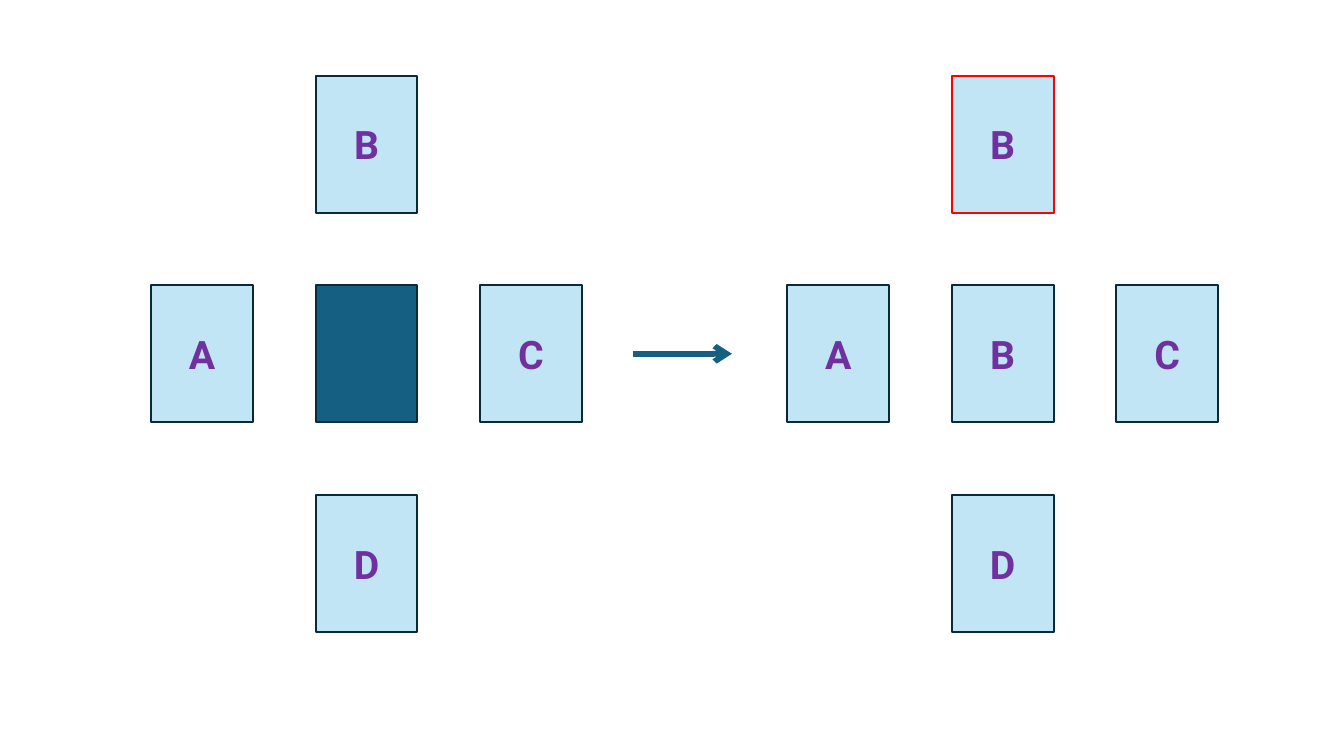
from lxml.etree import SubElement
from pptx import Presentation
from pptx.dml.color import RGBColor
from pptx.enum.shapes import MSO_CONNECTOR, MSO_SHAPE
from pptx.enum.text import MSO_ANCHOR, PP_ALIGN
from pptx.oxml.ns import qn
from pptx.util import Pt

PX = 9144
COLORS = {
    "card": "C1E5F5",
    "empty": "156082",
    "border": "092A39",
    "moved": "FF0000",
    "letter": "7030A0",
}
LETTER_FORMAT = {"name": "Roboto", "size": Pt(28), "bold": True}
CARD_WIDTH, CARD_HEIGHT = 101, 136
COLUMN_STEP, ROW_STEP = 163, 208
CROSS_TOP = 75
CELLS = {"left": (0, 1), "top": (1, 0), "right": (2, 1), "bottom": (1, 2), "center": (1, 1)}


def color(name):
    """Return the named colour."""
    return RGBColor.from_string(COLORS[name])


def add_card(page, left, top, letter, fill, border):
    """Draw one card, with a centred letter if it has one."""
    card = page.shapes.add_shape(
        MSO_SHAPE.RECTANGLE, left * PX, top * PX, CARD_WIDTH * PX, CARD_HEIGHT * PX
    )
    card.shadow.inherit = False
    card.fill.solid()
    card.fill.fore_color.rgb = color(fill)
    card.line.color.rgb = color(border)
    card.line.width = Pt(1.5)
    if letter:
        card.text_frame.vertical_anchor = MSO_ANCHOR.MIDDLE
        para = card.text_frame.paragraphs[0]
        para.alignment = PP_ALIGN.CENTER
        span = para.add_run()
        span.text = letter
        for key, value in LETTER_FORMAT.items():
            setattr(span.font, key, value)
        span.font.color.rgb = color("letter")


def add_cross(page, left, center, moved=None):
    """Draw five cards as a cross, with an outlined card where one has moved."""
    letters = {"left": "A", "top": "B", "right": "C", "bottom": "D", "center": center}
    for place, (column, row) in CELLS.items():
        letter = letters[place]
        add_card(
            page,
            left + column * COLUMN_STEP,
            CROSS_TOP + row * ROW_STEP,
            letter,
            "card" if letter else "empty",
            "moved" if place == moved else "border",
        )


def add_arrow(page, start, end, middle):
    """Draw a level arrow from start to end."""
    arrow = page.shapes.add_connector(
        MSO_CONNECTOR.STRAIGHT, start * PX, middle * PX, end * PX, middle * PX
    )
    arrow.line.color.rgb = color("empty")
    arrow.line.width = Pt(4)
    properties = arrow._element.spPr
    SubElement(properties.find(qn("a:ln")), qn("a:tailEnd"), type="arrow")
    SubElement(properties, qn("a:effectLst"))


def main():
    """Build the slide and save it."""
    deck = Presentation()
    deck.slide_width, deck.slide_height = 1333 * PX, 750 * PX
    page = deck.slides.add_slide(deck.slide_layouts[6])
    add_cross(page, 150, center=None)
    add_cross(page, 781, center="B", moved="top")
    add_arrow(page, 628, 726, 351)
    deck.save("out.pptx")


if __name__ == "__main__":
    main()
